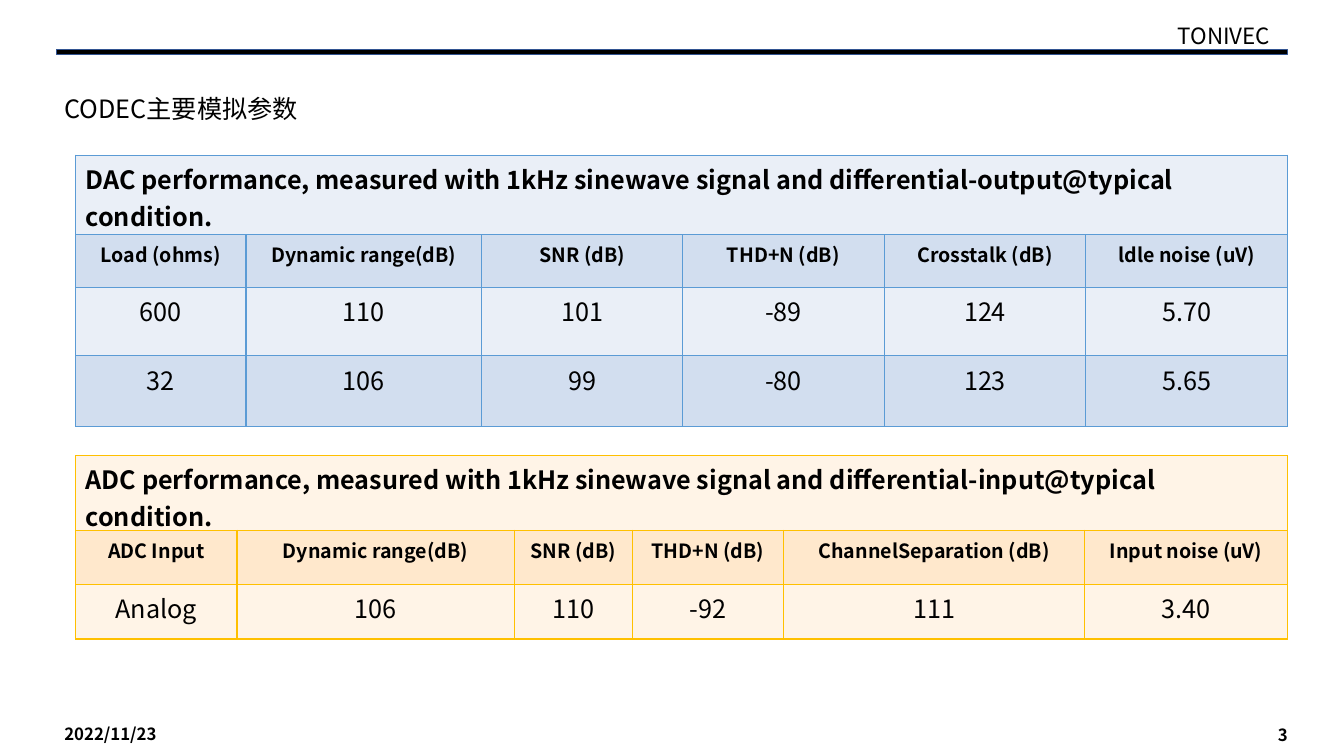
from lxml.etree import SubElement
from pptx import Presentation
from pptx.dml.color import RGBColor
from pptx.enum.shapes import MSO_SHAPE
from pptx.enum.text import MSO_ANCHOR, PP_ALIGN
from pptx.oxml import parse_xml
from pptx.oxml.ns import nsdecls, qn
from pptx.util import Inches, Pt


def color(hex_value):
    """Turn a hex string into a colour."""
    return RGBColor.from_string(hex_value)


class SlideBuilder:
    """Holds the style and the current slide."""

    font_name = "Noto Sans CJK SC"
    ink = "000000"

    def __init__(self, deck):
        """Add a title-only page to the deck."""
        self.page = deck.slides.add_slide(deck.slide_layouts[5])

    def add_text(self, frame, text, size, bold=False, align=PP_ALIGN.LEFT):
        """Put one styled run into a text frame."""
        para = frame.paragraphs[0]
        para.alignment = align
        span = para.add_run()
        span.text = text
        span.font.size = Pt(size)
        span.font.bold = bold
        span.font.name = self.font_name
        span.font.color.rgb = color(self.ink)
        east_asian = SubElement(span._r.get_or_add_rPr(), qn("a:ea"))
        east_asian.set("typeface", self.font_name)

    def fill_box(self, box, text, size, **style):
        """Centre a box's text vertically and add it."""
        frame = box.text_frame
        frame.word_wrap = True
        frame.vertical_anchor = MSO_ANCHOR.MIDDLE
        self.add_text(frame, text, size, **style)

    def title(self, text, left, top, width, height):
        """Place and fill the title placeholder."""
        box = self.page.shapes.title
        box.left, box.top = Inches(left), Inches(top)
        box.width, box.height = Inches(width), Inches(height)
        self.fill_box(box, text, 18)

    def label(self, text, left, top, width, height, size, **style):
        """Add a text box."""
        box = self.page.shapes.add_textbox(
            Inches(left), Inches(top), Inches(width), Inches(height))
        self.fill_box(box, text, size, **style)

    def bar(self, left, top, width, height):
        """Add the header bar."""
        bar = self.page.shapes.add_shape(
            MSO_SHAPE.RECTANGLE,
            Inches(left), Inches(top), Inches(width), Inches(height))
        bar.shadow.inherit = False
        bar.fill.solid()
        bar.fill.fore_color.rgb = color(self.ink)
        bar.line.color.rgb = color("325491")
        bar.line.width = Pt(1)

    def style_cell(self, cell, fill, border):
        """Fill a cell and draw its four borders."""
        cell.fill.solid()
        cell.fill.fore_color.rgb = color(fill)
        properties = cell._tc.get_or_add_tcPr()
        for index, side in enumerate(("lnL", "lnR", "lnT", "lnB")):
            properties.insert(index, parse_xml(
                f'<a:{side} {nsdecls("a")} w="{Pt(1)}"><a:solidFill>'
                f'<a:srgbClr val="{border}"/></a:solidFill></a:{side}>'))

    def table(self, top, caption, rows, widths, heights, fills, border):
        """Add a table with a merged caption, a header row and values."""
        frame = self.page.shapes.add_table(
            len(heights), len(widths), Inches(0.75), Inches(top),
            Inches(sum(widths)), Inches(sum(heights)))
        table = frame.table
        table.first_row = table.horz_banding = False
        for column, width in zip(table.columns, widths):
            column.width = Inches(width)
        for index, height in enumerate(heights):
            table.rows[index].height = Inches(height)
            for cell in table.rows[index].cells:
                self.style_cell(cell, fills[index % 2], border)
        table.cell(0, 0).merge(table.cell(0, len(widths) - 1))
        self.add_text(table.cell(0, 0).text_frame, caption, 18, bold=True)
        for row_index, values in enumerate(rows, start=1):
            header = row_index == 1
            for column_index, value in enumerate(values):
                self.add_text(table.cell(row_index, column_index).text_frame,
                              value, 14 if header else 18, bold=header,
                              align=PP_ALIGN.CENTER)


def main():
    """Build the codec parameter slide."""
    deck = Presentation()
    deck.slide_width, deck.slide_height = Inches(13.33), Inches(7.5)
    builder = SlideBuilder(deck)
    builder.label("2022/11/23", 0.54, 7.08, 3, 0.4, 12, bold=True)
    builder.label("3", 9.87, 7.09, 3, 0.4, 12, bold=True, align=PP_ALIGN.RIGHT)
    builder.label("TONIVEC", 11.4, 0.11, 1.48, 0.49, 16, align=PP_ALIGN.CENTER)
    builder.bar(0.56, 0.49, 12.21, 0.05)
    builder.title("CODEC主要模拟参数", 0.54, 0.74, 3.62, 0.68)
    caption = ("{} performance, measured with 1kHz sinewave signal and "
               "differential-{}@typical condition.")
    builder.table(
        1.54, caption.format("DAC", "output"),
        [["Load (ohms)", "Dynamic range(dB)", "SNR (dB)", "THD+N (dB)",
          "Crosstalk (dB)", "ldle noise (uV)"],
         ["600", "110", "101", "-89", "124", "5.70"],
         ["32", "106", "99", "-80", "123", "5.65"]],
        [1.69, 2.34, 1.99, 2, 2, 2], [0.79, 0.52, 0.68, 0.7],
        ("EAEFF7", "D2DEEF"), "5B9BD5")
    builder.table(
        4.52, caption.format("ADC", "input"),
        [["ADC Input", "Dynamic range(dB)", "SNR (dB)", "THD+N (dB)",
          "ChannelSeparation (dB)", "Input noise (uV)"],
         ["Analog", "106", "110", "-92", "111", "3.40"]],
        [1.6, 2.75, 1.17, 1.5, 2.99, 2.01], [0.74, 0.54, 0.54],
        ("FFF4E7", "FFE8CC"), "FFC000")
    deck.save("out.pptx")


if __name__ == "__main__":
    main()
